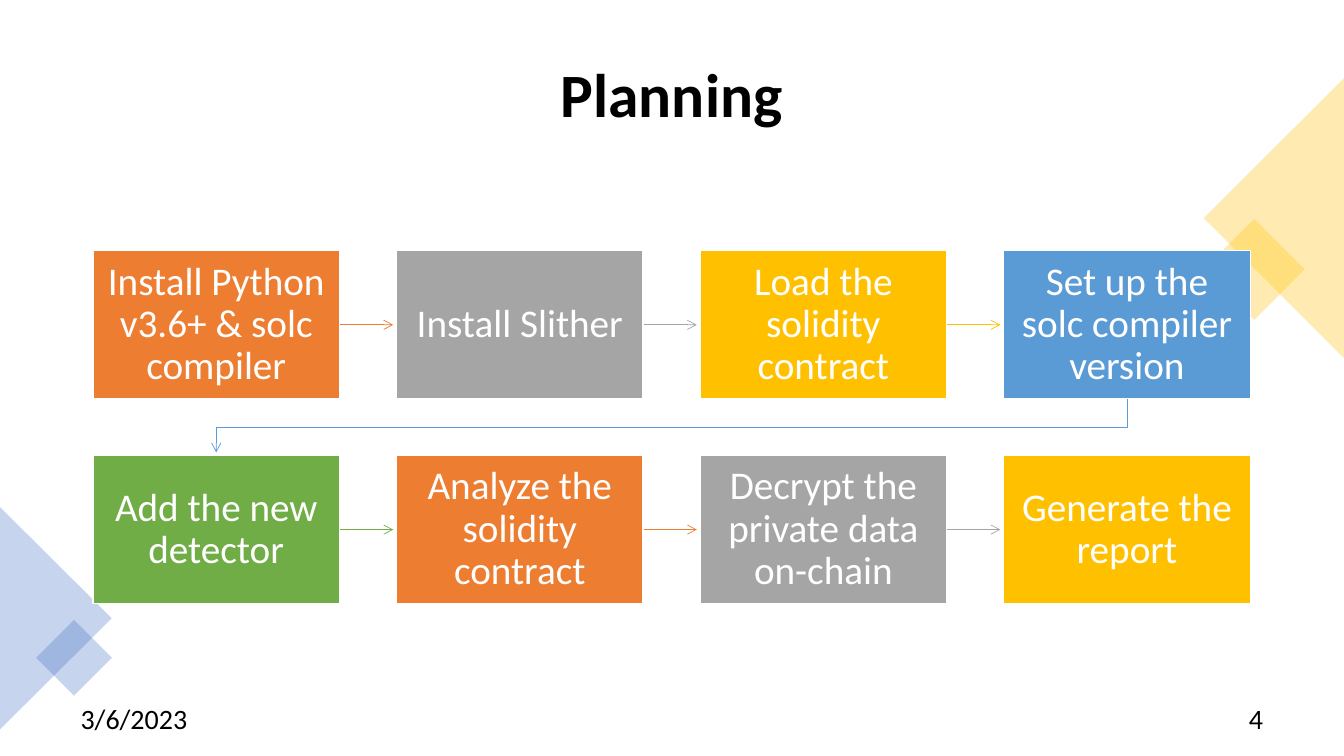
from dataclasses import dataclass

from pptx import Presentation
from pptx.dml.color import RGBColor
from pptx.enum.shapes import MSO_CONNECTOR as Connector, MSO_SHAPE as Shape
from pptx.enum.text import MSO_ANCHOR as Anchor, PP_ALIGN as Align
from pptx.oxml.ns import qn
from pptx.util import Cm, Pt
from lxml.etree import SubElement

# Content
TITLE = "Planning"
STEPS = [
    "Install Python v3.6+ & solc compiler",
    "Install Slither",
    "Load the solidity contract",
    "Set up the solc compiler version",
    "Add the new detector",
    "Analyze the solidity contract",
    "Decrypt the private data on-chain",
    "Generate the report",
]
# Footer text, left edge, alignment
FOOTERS = [("3/6/2023", 1.78, Align.LEFT), ("4", 24.46, Align.RIGHT)]


@dataclass(frozen=True)
class Theme:
    font: str = "Calibri"
    text: str = "000000"
    step_text: str = "FFFFFF"
    border: str = "FFFFFF"
    steps: tuple = ("ED7D31", "A5A5A5", "FFC000", "5B9BD5", "70AD47")
    gold: str = "FFC000"
    blue: str = "4472C4"
    title_size: int = 44
    step_size: int = 28
    footer_size: int = 20


THEME = Theme()

# Decoration: preset, left, top, width, height, rotation, colour
DECORATIONS = [
    (Shape.RECTANGLE, 30.71, 5.89, 1.8, 1.8, 45, THEME.gold),
    (Shape.ISOSCELES_TRIANGLE, 28.58, 3.73, 7.04, 3.53, 270, THEME.gold),
    (Shape.ISOSCELES_TRIANGLE, -1.4, 14.17, 5.61, 2.82, 90, THEME.blue),
    (Shape.RECTANGLE, 1.19, 15.9, 1.35, 1.35, 45, THEME.blue),
]

# Step grid, in centimetres
COLUMNS = 4
GRID_LEFT, GRID_TOP = 2.34, 6.32
STEP_WIDTH, STEP_HEIGHT = 6.22, 3.73
GAP, ARROW_LENGTH = 1.43, 1.35


def write(shape, text, size, color, align, bold=False):
    frame = shape.text_frame
    frame.text = text
    frame.word_wrap = True
    frame.vertical_anchor = Anchor.MIDDLE
    paragraph = frame.paragraphs[0]
    paragraph.alignment = align
    paragraph.line_spacing = 0.9
    font = paragraph.runs[0].font
    font.name, font.size, font.bold = THEME.font, Pt(size), bold
    font.color.rgb = RGBColor.from_string(color)


def add_filled(slide, preset, box, color):
    shape = slide.shapes.add_shape(preset, *map(Cm, box))
    shape.shadow.inherit = False
    shape.fill.solid()
    shape.fill.fore_color.rgb = RGBColor.from_string(color)
    return shape


def add_decoration(slide, preset, left, top, width, height, rotation, color):
    shape = add_filled(slide, preset, (left, top, width, height), color)
    shape.rotation = rotation
    shape.line.fill.background()
    fill_color = shape.fill._xPr.find(qn("a:solidFill"))[0]
    SubElement(fill_color, qn("a:alpha"), val="30000")


def step_corner(index):
    row, column = divmod(index, COLUMNS)
    return (GRID_LEFT + column * (STEP_WIDTH + GAP),
            GRID_TOP + row * (STEP_HEIGHT + GAP))


def add_step(slide, index, text):
    box = (*step_corner(index), STEP_WIDTH, STEP_HEIGHT)
    shape = add_filled(slide, Shape.RECTANGLE, box,
                       THEME.steps[index % len(THEME.steps)])
    shape.line.color.rgb = RGBColor.from_string(THEME.border)
    shape.line.width = Pt(1)
    frame = shape.text_frame
    frame.margin_left = frame.margin_right = Cm(0.3)
    frame.margin_top = frame.margin_bottom = Cm(0.33)
    write(shape, text, THEME.step_size, THEME.step_text, Align.CENTER)


def add_arrow(slide, index):
    left, top = step_corner(index)
    if (index + 1) % COLUMNS:
        # Straight to the next step in the row
        start, middle = left + STEP_WIDTH, top + STEP_HEIGHT / 2
        arrow = slide.shapes.add_connector(
            Connector.STRAIGHT, Cm(start), Cm(middle),
            Cm(start + ARROW_LENGTH), Cm(middle))
        SubElement(arrow._element.spPr, qn("a:effectLst"))
    else:
        # Back to the first step of the next row
        start_x, start_y = left + STEP_WIDTH / 2, top + STEP_HEIGHT
        end_x, bend_y = GRID_LEFT + STEP_WIDTH / 2, start_y + GAP / 2
        builder = slide.shapes.build_freeform(Cm(start_x), Cm(start_y))
        corners = [(start_x, bend_y), (end_x, bend_y),
                   (end_x, start_y + ARROW_LENGTH)]
        builder.add_line_segments([(Cm(x), Cm(y)) for x, y in corners],
                                  close=False)
        arrow = builder.convert_to_shape()
        arrow.shadow.inherit = False
        arrow.fill.background()
    arrow.line.color.rgb = RGBColor.from_string(
        THEME.steps[index % len(THEME.steps)])
    arrow.line.width = Pt(0.5)
    SubElement(arrow.line._get_or_add_ln(), qn("a:tailEnd"), type="arrow")


def main():
    presentation = Presentation()
    presentation.slide_width, presentation.slide_height = Cm(33.87), Cm(19.05)
    slide = presentation.slides.add_slide(presentation.slide_layouts[5])

    # Title
    title = slide.shapes.title
    title.left, title.top = Cm(1.78), Cm(0.89)
    title.width, title.height = Cm(30.3), Cm(3.15)
    write(title, TITLE, THEME.title_size, THEME.text, Align.CENTER, bold=True)

    # Corner decoration
    for decoration in DECORATIONS:
        add_decoration(slide, *decoration)

    # Date and slide number
    for text, left, align in FOOTERS:
        footer = slide.shapes.add_textbox(Cm(left), Cm(17.65), Cm(7.62), Cm(1.02))
        write(footer, text, THEME.footer_size, THEME.text, align)

    # Steps and the arrows between them
    for index, text in enumerate(STEPS):
        if index < len(STEPS) - 1:
            add_arrow(slide, index)
        add_step(slide, index, text)

    presentation.save("out.pptx")


if __name__ == "__main__":
    main()
